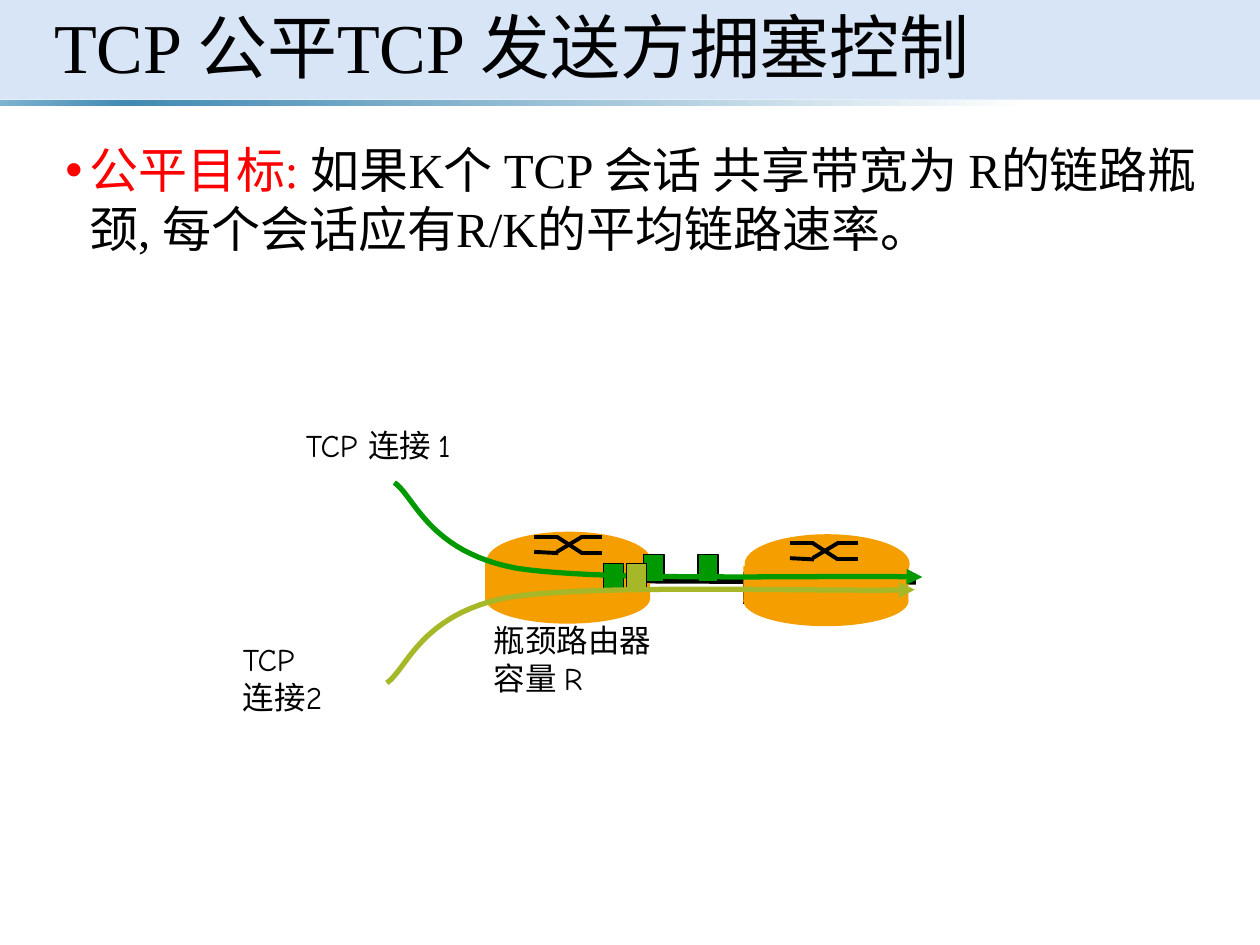
from pptx import Presentation
from pptx import util as u
from pptx.dml.color import RGBColor
from pptx.enum import shapes, text
from pptx.oxml import parse_xml
from pptx.oxml.ns import nsdecls, qn
from lxml import etree

SERIF, ROUND = "Times New Roman", "Comic Neue"
BLACK, RED, ORANGE = "000000", "FF0000", "F59E00"
GREEN, OLIVE, BAND = "009900", "A6B727", "C8DAF4"
RECT, OVAL = shapes.MSO_SHAPE.RECTANGLE, shapes.MSO_SHAPE.OVAL
CROSS = [(0, 0, 0.19, 0), (0.37, 0.13, 0.54, 0.13), (0.18, 0, 0.38, 0.13),
         (0, 0.12, 0.19, 0.13), (0.37, 0, 0.54, 0), (0.18, 0.12, 0.38, 0)]
STRIP = [(0, "7EB3D0"), (10, "418AB3"), (82, "FFFFFF"), (96, "FFFFFF")]


def rgb(value):
    return RGBColor.from_string(value)


def bezier(a, b, c, d, t):
    k = 1 - t
    return tuple(k**3 * p + 3 * k * k * t * q + 3 * k * t * t * m + t**3 * n
                 for p, q, m, n in zip(a, b, c, d))


class Deck:
    """Holds the style and the current slide, with a method per element."""

    def __init__(self):
        self.prs = Presentation()
        self.prs.slide_width, self.prs.slide_height = u.Inches(10), u.Inches(7.5)
        self.s = self.prs.slides.add_slide(self.prs.slide_layouts[5])

    def place(self, sp, *box):
        for name, v in zip(("left", "top", "width", "height"), box):
            setattr(sp, name, u.Inches(v))

    def put_text(self, sp, lines, size, font, **frame):
        tf = sp.text_frame
        frame = {"word_wrap": True, "auto_size": text.MSO_AUTO_SIZE.NONE, **frame}
        for name, v in frame.items():
            setattr(tf, name, v)
        for i, runs in enumerate(lines):
            p = tf.paragraphs[0] if i == 0 else tf.add_paragraph()
            p.alignment = text.PP_ALIGN.LEFT
            for words, color in runs:
                r = p.add_run()
                r.text = words
                for name, v in {"size": u.Pt(size), "name": font}.items():
                    setattr(r.font, name, v)
                r.font.color.rgb = rgb(color)
        return tf

    def title(self, words):
        sp = self.s.shapes.title
        self.place(sp, 0.33, 0, 9.31, 0.81)
        tf = self.put_text(sp, [[(words, BLACK)]], 40, SERIF,
                           vertical_anchor=text.MSO_ANCHOR.MIDDLE)
        tf.paragraphs[0].line_spacing = 0.9
        sp._element.getparent().append(sp._element)

    def label(self, box, lines):
        sp = self.s.shapes.add_textbox(*map(u.Inches, box))
        self.put_text(sp, [[(line, BLACK)] for line in lines], 18, ROUND)

    def bullet(self, box, runs):
        sp = self.s.shapes.add_textbox(*map(u.Inches, box))
        tf = self.put_text(sp, [runs], 28, SERIF)
        pPr = tf.paragraphs[0]._p.get_or_add_pPr()
        indent = u.Inches(0.19)
        pPr.set("marL", str(indent))
        pPr.set("indent", str(-indent))
        etree.SubElement(pPr, qn("a:buFont")).set("typeface", "Arial")
        etree.SubElement(pPr, qn("a:buChar")).set("char", "•")

    def shape(self, kind, box, fill, line=None, alpha=None):
        sp = self.s.shapes.add_shape(kind, *map(u.Inches, box))
        sp.shadow.inherit = False
        sp.fill.solid()
        sp.fill.fore_color.rgb = rgb(fill)
        if alpha:
            color = sp._element.spPr.find(qn("a:solidFill"))[0]
            etree.SubElement(color, qn("a:alpha")).set("val", str(alpha * 1000))
        if line:
            sp.line.color.rgb, sp.line.width = rgb(line), u.Pt(0.75)
        else:
            sp.line.fill.background()
        return sp

    def gradient(self, box, stops):
        sp = self.shape(RECT, box, stops[0][1])
        items = "".join(f'<a:gs pos="{pos * 1000}"><a:srgbClr val="{c}"/></a:gs>'
                        for pos, c in stops)
        old = sp._element.spPr.find(qn("a:solidFill"))
        old.getparent().replace(old, parse_xml(
            f'<a:gradFill {nsdecls("a")}><a:gsLst>{items}</a:gsLst>'
            '<a:lin ang="0" scaled="0"/></a:gradFill>'))

    def line(self, ends, width):
        c = self.s.shapes.add_connector(shapes.MSO_CONNECTOR.STRAIGHT,
                                        *map(u.Inches, ends))
        c.line.color.rgb, c.line.width = rgb(BLACK), u.Pt(width)
        etree.SubElement(c._element.spPr, qn("a:effectLst"))

    def flow(self, knots, color, steps=24):
        points = [bezier(*knots[i:i + 4], n / steps)
                  for i in range(0, len(knots) - 1, 3) for n in range(1, steps + 1)]
        start, *rest = [(u.Inches(x), u.Inches(y)) for x, y in [knots[0], *points]]
        fb = self.s.shapes.build_freeform(*start)
        fb.add_line_segments(rest, close=False)
        sp = fb.convert_to_shape()
        sp.shadow.inherit = False
        sp.fill.background()
        sp.line.color.rgb, sp.line.width = rgb(color), u.Pt(3)
        ln = sp._element.spPr.find(qn("a:ln"))
        etree.SubElement(ln, qn("a:round"))
        etree.SubElement(ln, qn("a:tailEnd")).set("type", "triangle")

    def router(self, x, y, cross_x, cross_y):
        self.shape(OVAL, (x - 0.01, y + 0.33, 1.31, 0.4), ORANGE)
        self.shape(RECT, (x - 0.01, y + 0.25, 1.31, 0.29), ORANGE)
        self.shape(OVAL, (x, y, 1.31, 0.47), ORANGE)
        for x1, y1, x2, y2 in CROSS:
            self.line((cross_x + x1, cross_y + y1, cross_x + x2, cross_y + y2), 2.25)

    def packet(self, x, y, color):
        self.shape(RECT, (x, y, 0.16, 0.22), color, BLACK)


def main():
    d = Deck()
    d.shape(RECT, (0, 0, 10, 0.79), BAND, alpha=70)
    d.gradient((0, 0.79, 10, 0.05), STRIP)
    d.bullet((0.42, 1.06, 9.23, 1.37), [
        ("公平目标:", RED),
        (" 如果K个 TCP 会话 共享带宽为 R的链路瓶颈, 每个会话应有R/K的平均链路速率。", BLACK)])
    d.line((5.15, 4.61, 7.27, 4.62), 3)
    d.router(3.86, 4.22, 4.24, 4.26)
    d.line((5.9, 4.54, 5.9, 4.79), 1)
    d.router(5.91, 4.24, 6.27, 4.31)
    for x, y in [(5.54, 4.4), (4.79, 4.47), (5.11, 4.4)]:
        d.packet(x, y, GREEN)
    d.label((2.33, 3.33, 1.41, 0.4), ["TCP 连接 1"])
    d.label((3.82, 4.88, 1.45, 0.7), ["瓶颈路由器", "容量 R"])
    d.label((1.83, 5.03, 0.85, 0.7), ["TCP", "连接2"])
    d.flow([(3.13, 3.83), (3.29, 3.94), (3.4, 4.38), (4.1, 4.51),
            (4.8, 4.62), (6.65, 4.56), (7.32, 4.58)], GREEN)
    d.packet(4.97, 4.47, OLIVE)
    d.flow([(3.07, 5.42), (3.23, 5.31), (3.34, 4.87), (4.04, 4.74),
            (4.73, 4.63), (6.59, 4.7), (7.26, 4.68)], OLIVE)
    d.title("TCP 公平TCP 发送方拥塞控制")
    d.prs.save("out.pptx")


if __name__ == "__main__":
    main()
